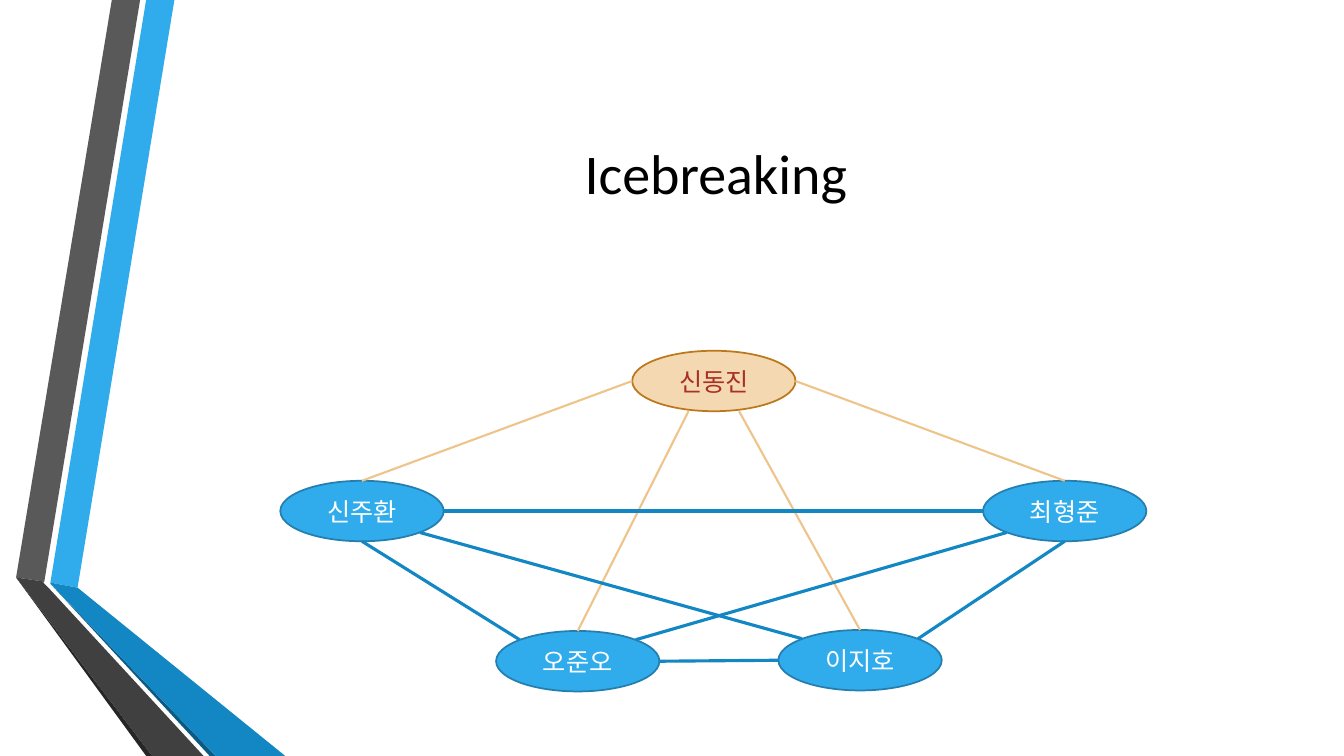
from pptx import Presentation
from pptx.dml.color import RGBColor
from pptx.enum.shapes import MSO_CONNECTOR as Connector, MSO_SHAPE as Shape
from pptx.enum.text import MSO_ANCHOR as Anchor, PP_ALIGN as Align
from pptx.oxml.xmlchemy import OxmlElement
from pptx.util import Inches, Pt

COLORS = {
    "black": "000000", "white": "FFFFFF",
    "blue": "30ACEC", "blue_edge": "247FAF", "blue_line": "1287C3", "blue_shade": "0C5A82",
    "gray": "595959", "gray_dark": "404040", "gray_shade": "262626",
    "sand": "F3D8B2", "sand_edge": "BC791C", "sand_line": "EEC48B", "red": "A93023",
}

# Folded ribbons on the left edge: colour and corner points in inches
RIBBONS = [
    ("blue", [(0.5, 5.78), (0.77, 5.83), (1.73, 0), (1.45, 0)]),
    ("gray", [(1.39, 0), (1.11, 0), (0.16, 5.73), (0.44, 5.77)]),
    ("gray_shade", [(0.16, 5.73), (1.45, 7.5), (1.51, 7.5)]),
    ("blue_shade", [(0.5, 5.79), (2.08, 7.5), (2.14, 7.5)]),
    ("blue_line", [(0.5, 5.79), (2.14, 7.5), (2.83, 7.5), (0.77, 5.83), (0.5, 5.78)]),
    ("gray_dark", [(2.02, 7.5), (0.48, 5.83), (0.43, 5.78), (0.44, 5.77),
                   (0.16, 5.73), (1.51, 7.5)]),
]

# Members: name, left, top, fill, edge, text colour
NODE_WIDTH, NODE_HEIGHT = 1.62, 0.6
MEMBERS = [
    ("신주환", 2.78, 4.77, "blue", "blue_edge", "white"),
    ("오준오", 4.92, 6.26, "blue", "blue_edge", "white"),
    ("이지호", 7.72, 6.25, "blue", "blue_edge", "white"),
    ("최형준", 9.75, 4.77, "blue", "blue_edge", "white"),
    ("신동진", 6.27, 3.48, "sand", "sand_edge", "red"),
]

# Ellipse connection sites: index and offset from the centre in half sizes
DIAGONAL = 0.71
SITES = {
    "top": (0, 0, -1), "top_left": (1, -DIAGONAL, -DIAGONAL),
    "left": (2, -1, 0), "bottom_left": (3, -DIAGONAL, DIAGONAL),
    "bottom": (4, 0, 1), "bottom_right": (5, DIAGONAL, DIAGONAL),
    "right": (6, 1, 0), "top_right": (7, DIAGONAL, -DIAGONAL),
    # Loose ends beside the bottom of the ellipse
    "below_left": (None, -0.31, 1), "below_right": (None, 0.31, 1),
}

LINE_WIDTHS = {"blue_line": 2.25, "sand_line": 1.5}
LINKS = [
    ("신주환", "bottom", "오준오", "top_left", "blue_line"),
    ("오준오", "right", "이지호", "left", "blue_line"),
    ("이지호", "top_right", "최형준", "bottom", "blue_line"),
    ("신주환", "top", "신동진", "left", "sand_line"),
    ("오준오", "top", "신동진", "below_left", "sand_line"),
    ("최형준", "top", "신동진", "right", "sand_line"),
    ("이지호", "top", "신동진", "below_right", "sand_line"),
    ("신주환", "bottom_right", "이지호", "top_left", "blue_line"),
    ("오준오", "top_right", "최형준", "bottom_left", "blue_line"),
    ("신주환", "right", "최형준", "left", "blue_line"),
]


def rgb(name):
    return RGBColor.from_string(COLORS[name])


def apply(target, values):
    for name, value in values.items():
        setattr(target, name, value)


def write_text(shape, text, size, color):
    apply(shape.text_frame, {"word_wrap": True, "vertical_anchor": Anchor.MIDDLE})
    para = shape.text_frame.paragraphs[0]
    para.alignment = Align.CENTER
    span = para.add_run()
    span.text = text
    apply(span.font, {"name": "Calibri", "size": Pt(size), "bold": False})
    span.font.color.rgb = rgb(color)


def paint(shape, fill):
    shape.shadow.inherit = False
    shape.fill.solid()
    shape.fill.fore_color.rgb = rgb(fill)


def add_title(page, text):
    title = page.shapes.title
    apply(title, {"left": Inches(1.62), "top": Inches(0.75),
                  "width": Inches(10.96), "height": Inches(1.92)})
    write_text(title, text, 40, "black")


def add_ribbon(page, color, points):
    corners = [(Inches(x), Inches(y)) for x, y in points]
    builder = page.shapes.build_freeform(*corners[0])
    builder.add_line_segments(corners[1:], close=True)
    ribbon = builder.convert_to_shape()
    paint(ribbon, color)
    ribbon.line.fill.background()


def add_member(page, name, left, top, fill, edge, text_color):
    node = page.shapes.add_shape(Shape.OVAL, Inches(left), Inches(top),
                                 Inches(NODE_WIDTH), Inches(NODE_HEIGHT))
    paint(node, fill)
    node.line.color.rgb = rgb(edge)
    node.line.width = Pt(1.25)
    write_text(node, name, 18, text_color)
    return node


def site_point(node, site):
    _, across, down = SITES[site]
    return (int(node.left + node.width * (1 + across) / 2),
            int(node.top + node.height * (1 + down) / 2))


def glue(connector, tag, node, site):
    # begin_connect covers four sites only; an ellipse has eight
    index = SITES[site][0]
    if index is not None:
        joint = OxmlElement(tag)
        joint.set("id", str(node.shape_id))
        joint.set("idx", str(index))
        connector._element.nvCxnSpPr.cNvCxnSpPr.append(joint)


def add_link(page, start, start_site, end, end_site, color):
    connector = page.shapes.add_connector(
        Connector.STRAIGHT, *site_point(start, start_site), *site_point(end, end_site))
    glue(connector, "a:stCxn", start, start_site)
    glue(connector, "a:endCxn", end, end_site)
    connector.line.color.rgb = rgb(color)
    connector.line.width = Pt(LINE_WIDTHS[color])
    connector._element.spPr.append(OxmlElement("a:effectLst"))


def main():
    deck = Presentation()
    apply(deck, {"slide_width": Inches(13.33), "slide_height": Inches(7.5)})
    page = deck.slides.add_slide(deck.slide_layouts[5])

    # Ribbons and title
    for color, points in RIBBONS:
        add_ribbon(page, color, points)
    add_title(page, "Icebreaking")

    # Network of members
    nodes = {member[0]: add_member(page, *member) for member in MEMBERS}
    for start, start_site, end, end_site, color in LINKS:
        add_link(page, nodes[start], start_site, nodes[end], end_site, color)

    deck.save("out.pptx")


if __name__ == "__main__":
    main()
